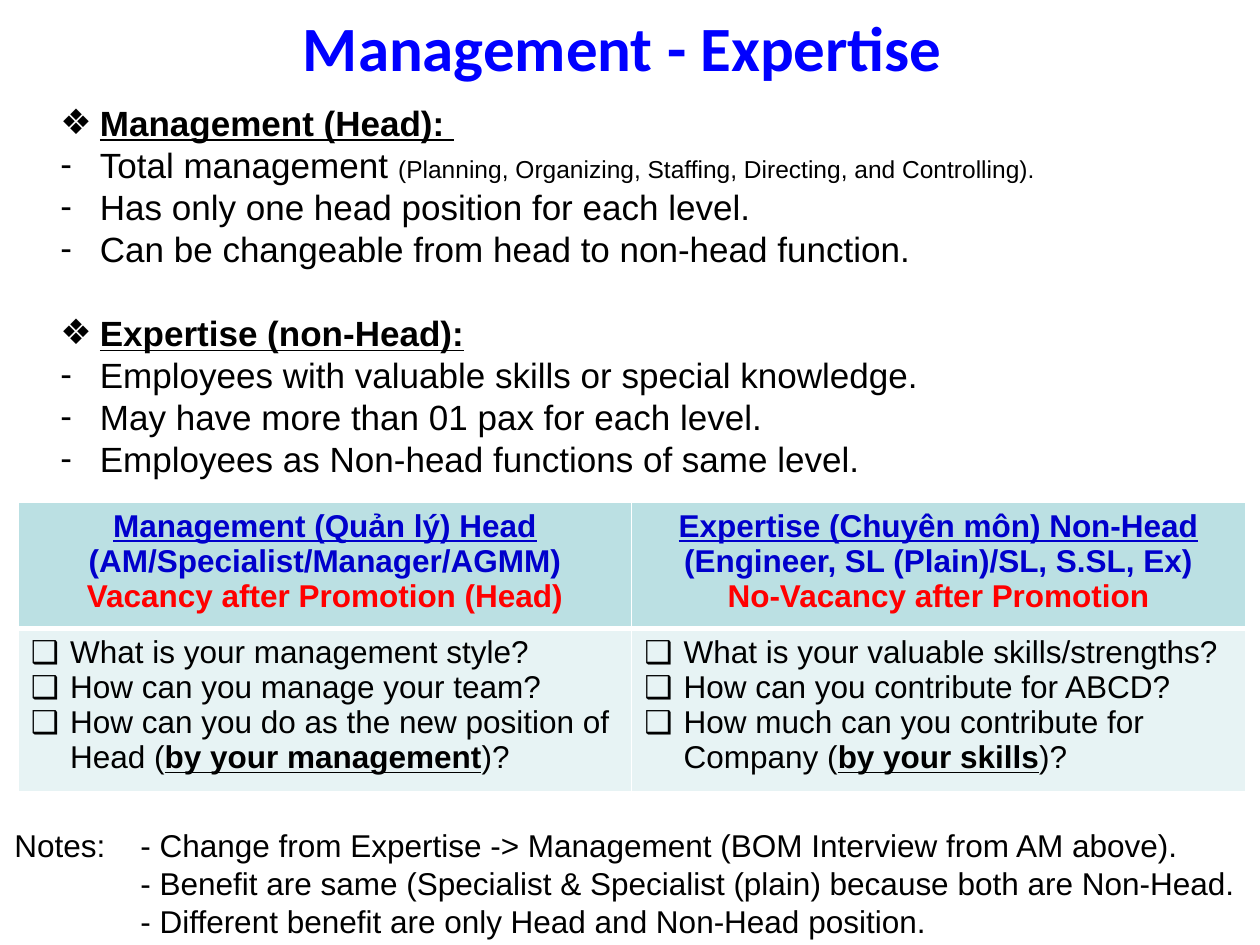
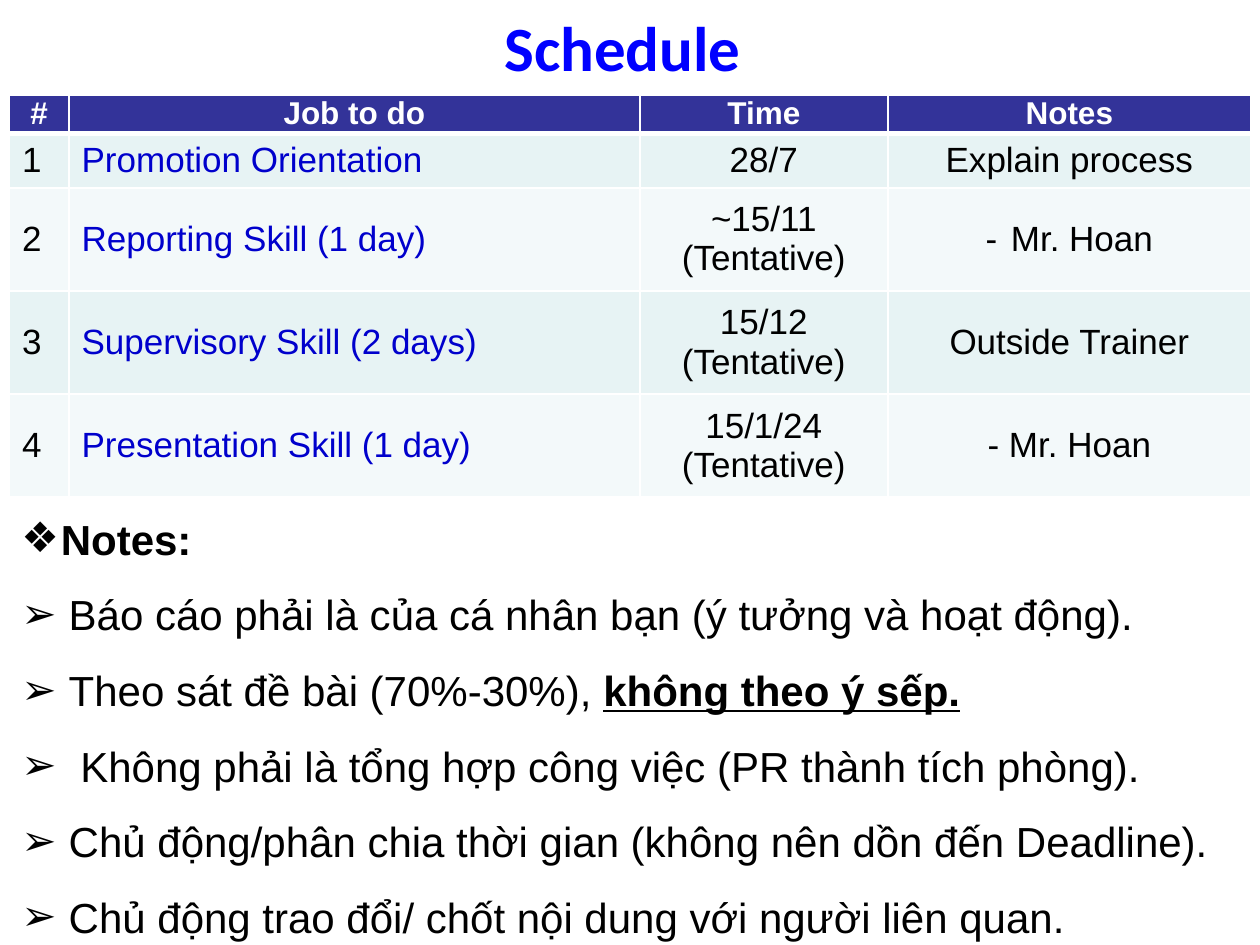
import dataclasses

import lxml.etree
import pptx
import pptx.dml.color
import pptx.enum.text
import pptx.oxml.ns
import pptx.util

Pt = pptx.util.Pt
ALIGN = pptx.enum.text.PP_ALIGN
ANCHOR = pptx.enum.text.MSO_ANCHOR

COLORS = {
    "title": "0000FF",
    "text": "000000",
    "link": "0000CC",
    "alert": "FF0000",
    "white": "FFFFFF",
    "navy": "333399",
    "teal": "BBE0E3",
    "pale": "E7F3F4",
    "paler": "F3F9FA",
}
BODY_FONT = "Arial"
TITLE_FONT = "Calibri"
TITLE_ONLY_LAYOUT = 5


@dataclasses.dataclass
class Span:
    text: str
    size: float = None
    bold: bool = False
    underline: bool = False
    color: str = "text"


@dataclasses.dataclass
class Para:
    spans: list
    bullet: str = None
    left: float = 0
    hanging: float = 0
    align: ALIGN = ALIGN.LEFT
    line: float = None
    before: float = 0


@dataclasses.dataclass
class Cell:
    paras: list
    fill: str
    size: float
    anchor: ANCHOR = ANCHOR.TOP
    tight: bool = False


def rgb(name):
    return pptx.dml.color.RGBColor.from_string(COLORS[name])


def add_child(parent, tag, **attributes):
    return lxml.etree.SubElement(parent, pptx.oxml.ns.qn(tag), attributes)


def paint(target, color):
    target.fill.solid()
    target.fill.fore_color.rgb = rgb(color)


def format_font(font, name, size, color, bold=False, underline=False):
    font.name = name
    font.size = Pt(size)
    font.color.rgb = rgb(color)
    font.bold = bold
    font.underline = underline


def write_paras(frame, paras, size):
    for index, para in enumerate(paras):
        paragraph = frame.add_paragraph() if index else frame.paragraphs[0]
        paragraph.alignment = para.align
        paragraph.space_before = Pt(para.before)
        if para.line:
            paragraph.line_spacing = Pt(para.line)
        properties = paragraph._p.get_or_add_pPr()
        properties.set("marL", str(Pt(para.left)))
        properties.set("indent", str(-Pt(para.hanging)))
        if para.bullet:
            add_child(properties, "a:buFont", typeface=BODY_FONT)
            add_child(properties, "a:buChar", char=para.bullet)
        else:
            add_child(properties, "a:buNone")
        for span in para.spans:
            run = paragraph.add_run()
            run.text = span.text
            format_font(run.font, BODY_FONT, span.size or size, span.color,
                        span.bold, span.underline)


def bulleted(bullet, *spans, hanging=22.5, **options):
    return Para(list(spans), bullet, hanging, hanging, **options)


def centered(text, **options):
    return Para([Span(text, **options)], align=ALIGN.CENTER)


def add_titled_page(deck, title):
    page = deck.slides.add_slide(deck.slide_layouts[TITLE_ONLY_LAYOUT])
    holder = page.shapes.title
    holder.left, holder.top = Pt(0), Pt(4.5)
    holder.width, holder.height = Pt(711.5), Pt(44)
    paint(holder, "white")
    frame = holder.text_frame
    frame.text = title
    frame.word_wrap = False
    frame.vertical_anchor = ANCHOR.MIDDLE
    paragraph = frame.paragraphs[0]
    paragraph.alignment = ALIGN.CENTER
    format_font(paragraph.runs[0].font, TITLE_FONT, 36, "title", bold=True)
    return page


def add_text(page, left, top, width, height, paras, size):
    box = page.shapes.add_textbox(Pt(left), Pt(top), Pt(width), Pt(height))
    box.text_frame.word_wrap = True
    write_paras(box.text_frame, paras, size)


def set_borders(cell, row_index):
    widths = {
        "a:lnL": 1,
        "a:lnR": 1,
        "a:lnT": 3 if row_index == 1 else 1,
        "a:lnB": 3 if row_index == 0 else 1,
    }
    properties = cell._tc.get_or_add_tcPr()
    for tag, width in widths.items():
        line = add_child(properties, tag, w=str(Pt(width)))
        add_child(add_child(line, "a:solidFill"), "a:srgbClr", val=COLORS["white"])


def add_grid(page, left, top, widths, heights, rows):
    frame = page.shapes.add_table(len(heights), len(widths), Pt(left), Pt(top),
                                  Pt(sum(widths)), Pt(sum(heights)))
    table = frame.table
    for column, width in zip(table.columns, widths):
        column.width = Pt(width)
    for row_index, (row, height) in enumerate(zip(rows, heights)):
        table.rows[row_index].height = Pt(height)
        for column_index, content in enumerate(row):
            cell = table.cell(row_index, column_index)
            set_borders(cell, row_index)
            paint(cell, content.fill)
            cell.vertical_anchor = content.anchor
            if content.tight:
                cell.margin_left = cell.margin_right = Pt(0)
                cell.margin_top = cell.margin_bottom = Pt(0)
            write_paras(cell.text_frame, content.paras, content.size)


def role_header(role, levels, vacancy):
    return Cell([
        centered(role, bold=True, underline=True, color="link"),
        centered(levels, bold=True, color="link"),
        centered(vacancy, bold=True, color="alert"),
    ], "teal", 18)


def role_questions(first, second, third, emphasis):
    questions = [
        [Span(first)],
        [Span(second)],
        [Span(third), Span(emphasis, bold=True, underline=True), Span(")?")],
    ]
    return Cell([bulleted("❑", *spans) for spans in questions], "pale", 18)


def build_roles_page(deck):
    page = add_titled_page(deck, "Management - Expertise")
    line = 24

    def heading(text, before=0):
        return bulleted("❖", Span(text, bold=True, underline=True),
                        line=line, before=before)

    def point(*spans):
        return bulleted("-", *spans, line=line)

    add_text(page, 27.5, 54.5, 678, 225, [
        heading("Management (Head): "),
        point(Span("Total management "),
              Span("(Planning, Organizing, Staffing, Directing, and Controlling).", 14)),
        point(Span("Has only one head position for each level.")),
        point(Span("Can be changeable from head to non-head function.")),
        heading("Expertise (non-Head):", before=line),
        point(Span("Employees with valuable skills or special knowledge.")),
        point(Span("May have more than 01 pax for each level.")),
        point(Span("Employees as Non-head functions of same level.")),
    ], 20)

    add_grid(page, 10.4, 287, [350.6, 350.6], [71.4, 93.3], [
        [role_header("Management (Quản lý) Head",
                     "(AM/Specialist/Manager/AGMM)",
                     "Vacancy after Promotion (Head)"),
         role_header("Expertise (Chuyên môn) Non-Head",
                     "(Engineer, SL (Plain)/SL, S.SL, Ex)",
                     "No-Vacancy after Promotion")],
        [role_questions("What is your management style?",
                        "How can you manage your team?",
                        "How can you do as the new position of Head (",
                        "by your management"),
         role_questions("What is your valuable skills/strengths?",
                        "How can you contribute for ABCD?",
                        "How much can you contribute for Company (",
                        "by your skills")],
    ])

    notes = [
        "Notes:\t- Change from Expertise -> Management (BOM Interview from AM above).",
        "- Benefit are same (Specialist & Specialist (plain) because both are Non-Head.",
        "- Different benefit are only Head and Non-Head position.",
    ]
    add_text(page, 1.2, 468.3, 717, 72.7, [
        Para([Span(note)], left=72, hanging=0 if index else 72, line=21.7)
        for index, note in enumerate(notes)
    ], 18)


def schedule_row(number, job, times, note, fill):
    columns = [
        [Para([Span(str(number))])],
        [Para([Span(job, color="link")])],
        [centered(time) for time in times],
        [note],
    ]
    return [Cell(paras, fill, 20, ANCHOR.MIDDLE) for paras in columns]


def build_schedule_page(deck):
    page = add_titled_page(deck, "Schedule")
    headers = ["#", "Job to do", "Time", "Notes"]
    jobs = [
        ("Promotion Orientation", ["28/7"], centered("Explain process")),
        ("Reporting Skill (1 day)", ["~15/11", "(Tentative)"],
         bulleted("-", Span("Mr. Hoan"), hanging=14.4, align=ALIGN.CENTER)),
        ("Supervisory Skill (2 days)", ["15/12", "(Tentative)"],
         centered("Outside Trainer")),
        ("Presentation Skill (1 day)", ["15/1/24", "(Tentative)"],
         centered("- Mr. Hoan")),
    ]
    rows = [[Cell([centered(header, bold=True, color="white")], "navy", 18, tight=True)
             for header in headers]]
    for number, job in enumerate(jobs, 1):
        rows.append(schedule_row(number, *job, "pale" if number % 2 else "paler"))
    add_grid(page, 5.4, 54.7, [34, 326.2, 141.8, 207.4], [21.6, 31] + [58.9] * 3, rows)

    notes = [
        [Span("Báo cáo phải là của cá nhân bạn (ý tưởng và hoạt động).")],
        [Span("Theo sát đề bài (70%-30%), "),
         Span("không theo ý sếp.", bold=True, underline=True)],
        [Span(" Không phải là tổng hợp công việc (PR thành tích phòng).")],
        [Span("Chủ động/phân chia thời gian (không nên dồn đến Deadline).")],
        [Span("Chủ động trao đổi/ chốt nội dung với người liên quan.")],
    ]
    line = 43.2
    paras = [bulleted("❖", Span("Notes:", bold=True), line=line)]
    paras += [bulleted("➢", *spans, hanging=27, line=line) for spans in notes]
    add_text(page, 5.2, 275.4, 715, 263.5, paras, 24)


def main():
    deck = pptx.Presentation()
    deck.slide_width, deck.slide_height = Pt(720), Pt(540)
    build_roles_page(deck)
    build_schedule_page(deck)
    deck.save("out.pptx")


if __name__ == "__main__":
    main()
